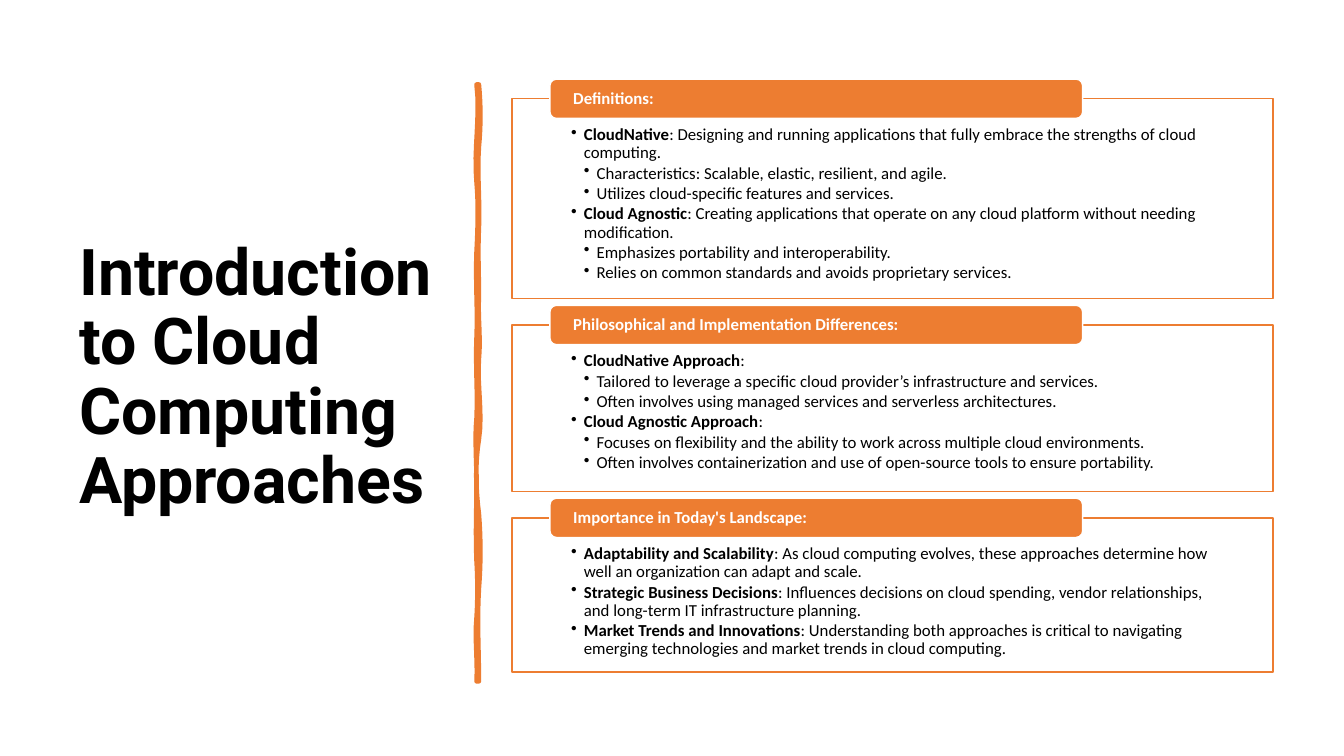
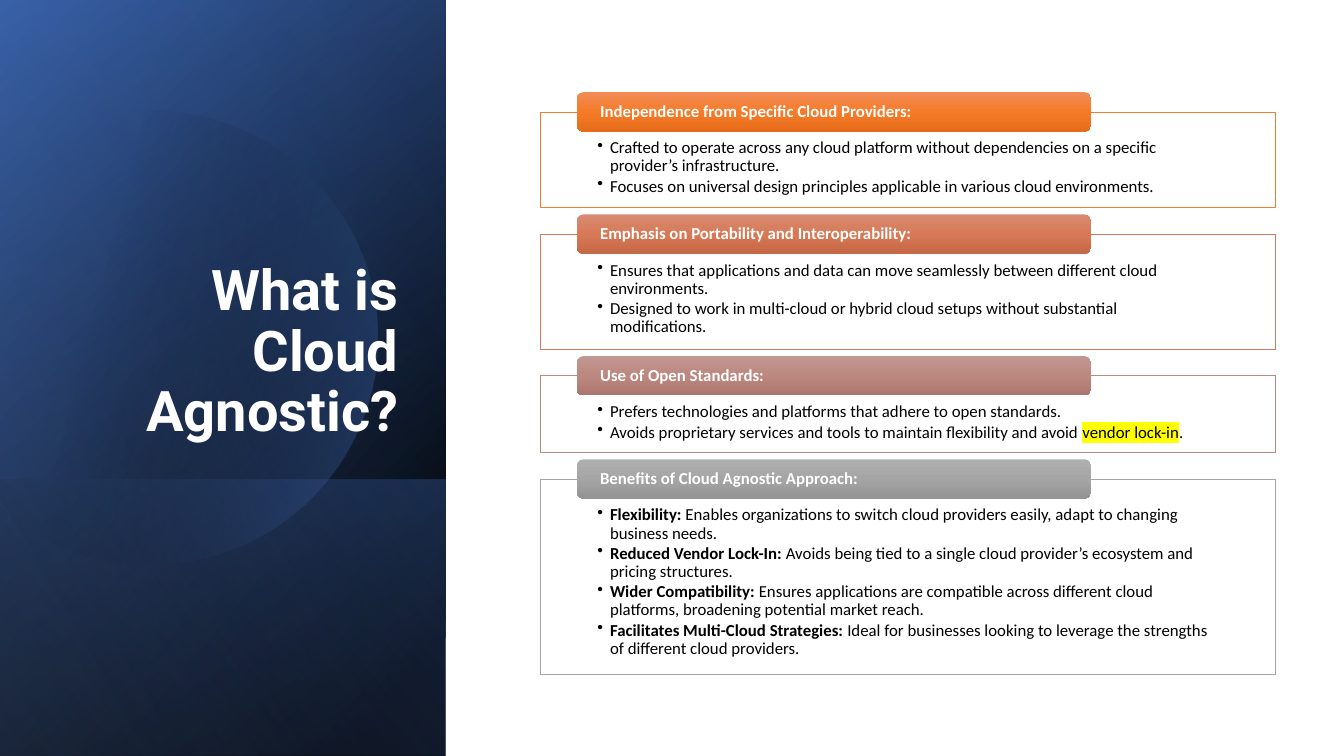
from dataclasses import dataclass
from math import cos, radians, sin

from lxml import etree
from pptx import Presentation
from pptx.dml.color import RGBColor
from pptx.enum.shapes import MSO_SHAPE
from pptx.enum.text import MSO_ANCHOR, PP_ALIGN
from pptx.oxml.ns import qn
from pptx.util import Cm, Pt

RECTANGLE = MSO_SHAPE.RECTANGLE
ROUNDED = MSO_SHAPE.ROUNDED_RECTANGLE
TOP, MIDDLE, BOTTOM = MSO_ANCHOR.TOP, MSO_ANCHOR.MIDDLE, MSO_ANCHOR.BOTTOM
LEFT, RIGHT = PP_ALIGN.LEFT, PP_ALIGN.RIGHT
PLAIN, BOLD, MARKED = "plain", "bold", "marked"


@dataclass(frozen=True)
class Theme:
    title_font: str = "Roboto"
    body_font: str = "Calibri"
    body_size: float = 12
    line_spacing: float = 0.9
    bullet_gap: float = 1.6
    bullet_indent: float = 0.32
    card_gap: float = 0.67
    tab_height: float = 0.99
    black: str = "000000"
    white: str = "FFFFFF"
    orange: str = "ED7D31"
    blue: str = "4472C4"
    deep_blue: str = "2F5597"
    pale_blue: str = "8FAADC"
    marker: str = "FFFF00"


THEME = Theme()


def rgb(code):
    return RGBColor.from_string(code)


def paint_gradient(shape, stops, angle):
    shape.fill.background()
    gradient = etree.Element(qn("a:gradFill"), rotWithShape="1")
    stop_list = etree.SubElement(gradient, qn("a:gsLst"))
    for position, color, opacity in stops:
        stop = etree.SubElement(stop_list, qn("a:gs"), pos=str(position * 1000))
        value = etree.SubElement(stop, qn("a:srgbClr"), val=color)
        if opacity < 100:
            etree.SubElement(value, qn("a:alpha"), val=str(opacity * 1000))
    etree.SubElement(gradient, qn("a:lin"), ang=str(angle * 60000), scaled="0")
    properties = shape._element.spPr
    properties.replace(properties.find(qn("a:noFill")), gradient)


def set_line(shape, color=None, width=1):
    if color is None:
        shape.line.fill.background()
    else:
        shape.line.color.rgb = rgb(color)
        shape.line.width = Pt(width)


def add_box(slide, kind, box, fill=None, line=None, width=1):
    shape = slide.shapes.add_shape(kind, *map(Cm, box))
    shape.shadow.inherit = False
    if fill:
        shape.fill.solid()
        shape.fill.fore_color.rgb = rgb(fill)
    set_line(shape, line, width)
    return shape


def set_frame(shape, anchor, margins):
    frame = shape.text_frame
    frame.word_wrap = True
    frame.vertical_anchor = anchor
    (frame.margin_left, frame.margin_top,
     frame.margin_right, frame.margin_bottom) = map(Cm, margins)
    return frame


def add_run(paragraph, text, font, size, color, style=PLAIN):
    run = paragraph.add_run()
    run.text = text
    run.font.size = Pt(size)
    run.font.bold = style == BOLD
    run.font.color.rgb = rgb(color)
    run.font.name = font
    if style == MARKED:
        highlight = etree.Element(qn("a:highlight"))
        etree.SubElement(highlight, qn("a:srgbClr"), val=THEME.marker)
        run.font._element.find(qn("a:solidFill")).addnext(highlight)


def add_title(slide, box, text, size, color, anchor, alignment):
    shape = slide.shapes.add_textbox(*map(Cm, box))
    frame = set_frame(shape, anchor, (0.25, 0.13, 0.25, 0.13))
    paragraph = frame.paragraphs[0]
    paragraph.alignment = alignment
    paragraph.line_spacing = THEME.line_spacing
    add_run(paragraph, text, THEME.title_font, size, color, BOLD)


def add_bullets(frame, bullets):
    for index, (level, *runs) in enumerate(bullets):
        paragraph = frame.add_paragraph() if index else frame.paragraphs[0]
        paragraph.level = level
        properties = paragraph._p.get_or_add_pPr()
        properties.set("marL", str(Cm(THEME.bullet_indent * level)))
        properties.set("indent", str(-Cm(THEME.bullet_indent)))
        etree.SubElement(properties, qn("a:buChar"), char="•")
        paragraph.alignment = LEFT
        paragraph.line_spacing = THEME.line_spacing
        paragraph.space_after = Pt(THEME.bullet_gap)
        for text, style in runs:
            add_run(paragraph, text, THEME.body_font, THEME.body_size, THEME.black, style)


def add_card(slide, box, heading, bullets, border, border_width, tab_line, tab_shades):
    left, top, width, height = box
    side = 0.078 * width
    body = add_box(slide, RECTANGLE, box, THEME.white, border, border_width)
    add_bullets(set_frame(body, TOP, (side, 0.69, side, 0.23)), bullets)

    tab_box = (left + 0.05 * width, top - THEME.tab_height / 2, 0.7 * width, THEME.tab_height)
    tab = add_box(slide, ROUNDED, tab_box, border, tab_line)
    if tab_shades:
        stops = [(50 * index, shade, 100) for index, shade in enumerate(tab_shades)]
        paint_gradient(tab, stops, 90)
    paragraph = set_frame(tab, MIDDLE, (0.54, 0, 0.54, 0)).paragraphs[0]
    paragraph.alignment = LEFT
    paragraph.line_spacing = THEME.line_spacing
    add_run(paragraph, heading, THEME.body_font, THEME.body_size, THEME.white, BOLD)


def add_card_stack(slide, left, top, width, cards, border_width, tab_line=None):
    for height, heading, border, tab_shades, bullets in cards:
        add_card(slide, (left, top, width, height), heading, bullets,
                 border, border_width, tab_line, tab_shades)
        top += height + THEME.card_gap


def add_outline(slide, points):
    start, *rest = [(Cm(x), Cm(y)) for x, y in points]
    builder = slide.shapes.build_freeform(*start)
    builder.add_line_segments(rest)
    shape = builder.convert_to_shape()
    shape.shadow.inherit = False
    return shape


def wavy_edge(x, top, start, segments, steps=8):
    points = [(x, top + start)]
    for end, first_bulge, second_bulge in segments:
        for step in range(1, steps + 1):
            t = step / steps
            sway = 3 * t * (1 - t) * ((1 - t) * first_bulge + t * second_bulge)
            points.append((x + sway, top + start + (end - start) * t))
        start = end
    return points


def add_brush_divider(slide, left, top, thickness, height):
    down = [(1.57, 0.05, 0.05), (3.61, -0.05, 0.03), (5.33, -0.03, 0), (6.91, -0.03, 0.05),
            (8.94, -0.05, 0.1), (10.82, -0.1, -0.08), (12.7, 0.05, 0.05), (height, -0.05, 0)]
    up = [(13.44, 0.03, -0.05), (12.01, 0.03, 0.03), (9.98, -0.03, 0), (8.41, 0, -0.05),
          (6.38, 0.03, -0.03), (4.22, 0.03, -0.03), (2.46, 0.03, 0.05), (0, -0.08, 0.1)]
    points = wavy_edge(left + thickness, top, 0, down) + wavy_edge(left, top, height, up)
    divider = add_outline(slide, points)
    divider.fill.solid()
    divider.fill.fore_color.rgb = rgb(THEME.orange)
    set_line(divider, THEME.orange, 3.25)


def add_turned_panel(slide, box, stops, angle):
    left, top, width, height = box
    shift = (width - height) / 2
    panel = add_box(slide, RECTANGLE, (left + shift, top - shift, height, width))
    panel.rotation = 90
    panel._element.spPr.find(qn("a:xfrm")).set("flipH", "1")
    paint_gradient(panel, stops, angle)


def add_side_panel(slide, box):
    left, top, width, height = box
    lower_height = 6.96
    lower = (left, top + height - lower_height, width, lower_height)
    add_turned_panel(slide, box, [(8, THEME.black, 100), (100, THEME.deep_blue, 100)], 50)
    add_turned_panel(slide, box, [(0, THEME.black, 0), (99, THEME.blue, 46)], 30)
    add_turned_panel(slide, lower, [(2, THEME.blue, 29), (100, THEME.black, 30)], 130)

    center_x, center_y, radius = 3.78, 8.51, 5.72
    arc = [(left + center_x + radius * cos(radians(angle)),
            top + center_y + radius * sin(radians(angle))) for angle in range(-131, 132, 2)]
    disc = add_outline(slide, arc)
    set_line(disc)
    paint_gradient(disc, [(29, THEME.black, 0), (100, THEME.blue, 43)], 14)

    add_turned_panel(slide, box, [(0, THEME.black, 0), (99, THEME.pale_blue, 11)], 120)


def build_introduction(slide):
    add_title(slide, (1.75, 1.78, 9.5, 15.52), "Introduction to Cloud Computing Approaches",
              46, THEME.black, MIDDLE, LEFT)
    add_brush_divider(slide, 12.01, 2.13, 0.06, 15.04)
    cards = [
        (5.03, "Definitions:", THEME.orange, None, [
            (1, ("CloudNative", BOLD), (": Designing and running applications that fully embrace "
                                        "the strengths of cloud computing.", PLAIN)),
            (2, ("Characteristics: Scalable, elastic, resilient, and agile.", PLAIN)),
            (2, ("Utilizes cloud-specific features and services.", PLAIN)),
            (1, ("Cloud Agnostic", BOLD), (": Creating applications that operate on any cloud "
                                           "platform without needing modification.", PLAIN)),
            (2, ("Emphasizes portability and interoperability.", PLAIN)),
            (2, ("Relies on common standards and avoids proprietary services.", PLAIN))]),
        (4.19, "Philosophical and Implementation Differences:", THEME.orange, None, [
            (1, ("CloudNative Approach", BOLD), (":", PLAIN)),
            (2, ("Tailored to leverage a specific cloud provider’s infrastructure "
                 "and services.", PLAIN)),
            (2, ("Often involves using managed services and serverless architectures.", PLAIN)),
            (1, ("Cloud Agnostic Approach", BOLD), (":", PLAIN)),
            (2, ("Focuses on flexibility and the ability to work across multiple "
                 "cloud environments.", PLAIN)),
            (2, ("Often involves containerization and use of open-source tools to ensure "
                 "portability.", PLAIN))]),
        (3.89, "Importance in Today's Landscape:", THEME.orange, None, [
            (1, ("Adaptability and Scalability", BOLD),
             (": As cloud computing evolves, these approaches determine how well an "
              "organization can adapt and scale.", PLAIN)),
            (1, ("Strategic Business Decisions", BOLD),
             (": Influences decisions on cloud spending, vendor relationships, and long-term "
              "IT infrastructure planning.", PLAIN)),
            (1, ("Market Trends and Innovations", BOLD),
             (": Understanding both approaches is critical to navigating emerging technologies "
              "and market trends in cloud computing.", PLAIN))]),
    ]
    add_card_stack(slide, 12.9, 2.49, 19.18, cards, 1, THEME.white)


def build_cloud_agnostic(slide):
    add_side_panel(slide, (0, 0, 11.23, 19.05))
    add_title(slide, (1.63, 4.67, 8.66, 6.65), "What is Cloud Agnostic?",
              40, THEME.white, BOTTOM, RIGHT)
    cards = [
        (2.41, "Independence from Specific Cloud Providers:", THEME.orange,
         ("F18C57", "F67B28", "E56C19"), [
            (1, ("Crafted to operate across any cloud platform without dependencies on a "
                 "specific provider’s infrastructure.", PLAIN)),
            (1, ("Focuses on universal design principles applicable in various cloud "
                 "environments.", PLAIN))]),
        (2.9, "Emphasis on Portability and Interoperability:", "D17B5C",
         ("D78B72", "D77956", "C66846"), [
            (1, ("Ensures that applications and data can move seamlessly between different "
                 "cloud environments.", PLAIN)),
            (1, ("Designed to work in multi-cloud or hybrid cloud setups without substantial "
                 "modifications.", PLAIN))]),
        (1.93, "Use of Open Standards:", "B98A82", ("C19791", "BC8880", "AA766E"), [
            (1, ("Prefers technologies and platforms that adhere to open standards.", PLAIN)),
            (1, ("Avoids proprietary services and tools to maintain flexibility and avoid ",
                 PLAIN), ("vendor lock-in", MARKED), (".", PLAIN))]),
        (4.93, "Benefits of Cloud Agnostic Approach:", "A5A5A5",
         ("AFAFAF", "A5A5A5", "939393"), [
            (1, ("Flexibility:", BOLD), (" Enables organizations to switch cloud providers "
                                         "easily, adapt to changing business needs.", PLAIN)),
            (1, ("Reduced Vendor Lock-In:", BOLD),
             (" Avoids being tied to a single cloud provider’s ecosystem and pricing "
              "structures.", PLAIN)),
            (1, ("Wider Compatibility:", BOLD),
             (" Ensures applications are compatible across different cloud platforms, "
              "broadening potential market reach.", PLAIN)),
            (1, ("Facilitates Multi-Cloud Strategies:", BOLD),
             (" Ideal for businesses looking to leverage the strengths of different cloud "
              "providers.", PLAIN))]),
    ]
    add_card_stack(slide, 13.61, 2.82, 18.52, cards, 0.5)


def main():
    presentation = Presentation()
    presentation.slide_width, presentation.slide_height = Cm(33.87), Cm(19.05)
    blank = presentation.slide_layouts[6]
    for build in (build_introduction, build_cloud_agnostic):
        build(presentation.slides.add_slide(blank))
    presentation.save("out.pptx")


if __name__ == "__main__":
    main()
